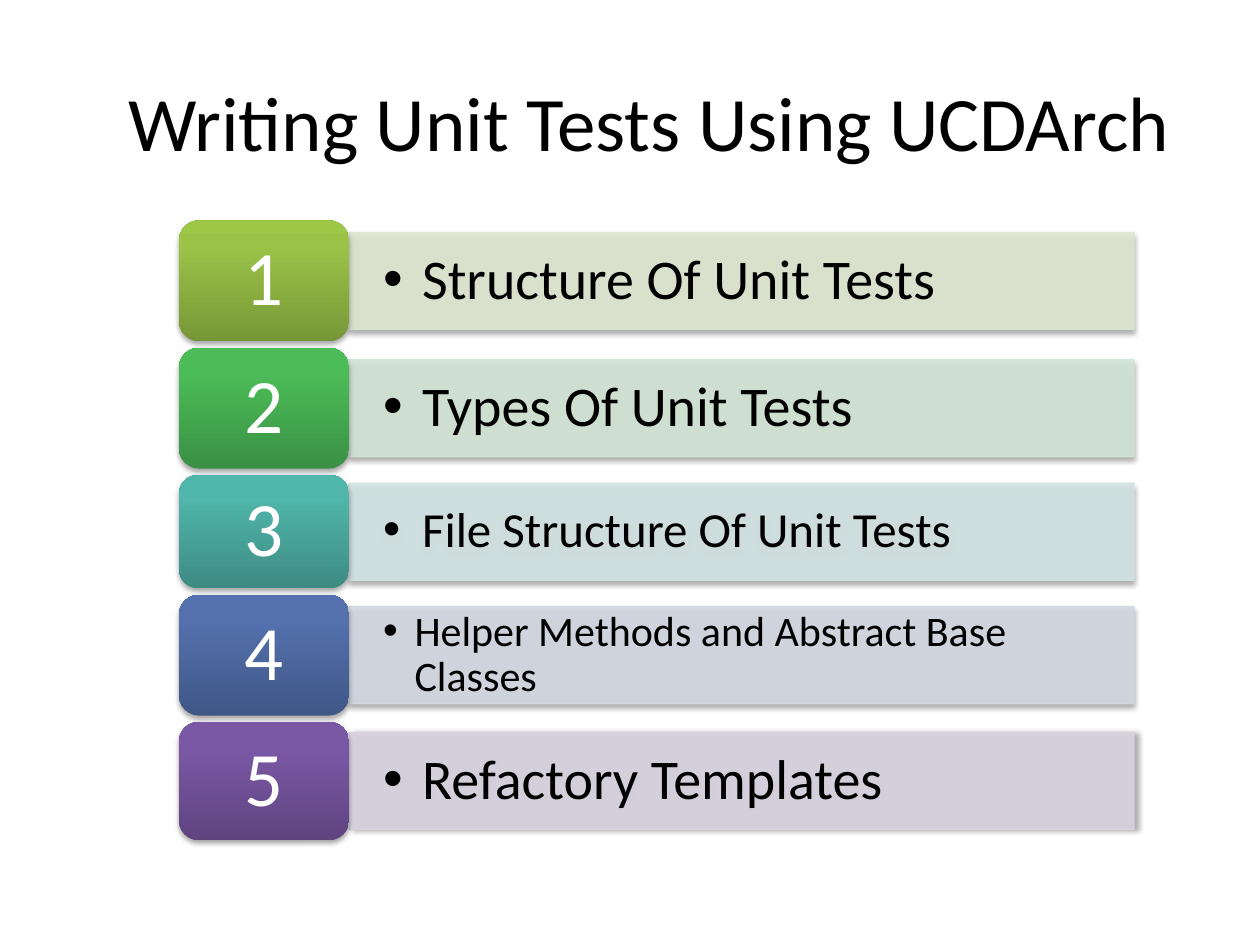
from copy import deepcopy

from lxml.etree import SubElement
from pptx import Presentation
from pptx.dml.color import RGBColor
from pptx.enum.shapes import MSO_SHAPE
from pptx.enum.text import MSO_ANCHOR, PP_ALIGN
from pptx.oxml.ns import qn
from pptx.util import Inches, Pt

COLORS = {
    "text": "000000",
    "number": "FFFFFF",
    "shadow": "000000",
    "bars": ["DEE7D1", "D2E5D5", "D2E3E2", "D3D8E2", "D8D3E0"],
    "tiles": [
        ("779737", "9BC348", "9DC746"),
        ("3A9144", "4CBC58", "4ABF57"),
        ("3D8B83", "50B5AA", "4EB8AC"),
        ("405786", "5471AE", "5271B0"),
        ("5F4480", "7B58A6", "7C57A8"),
    ],
}
TOPICS = [
    ("Structure Of Unit Tests", 32, 0.96, 90),
    ("Types Of Unit Tests", 32, 0.96, 90),
    ("File Structure Of Unit Tests", 28, 0.9, 90),
    ("Helper Methods and Abstract Base Classes", 24, 0.96, 90),
    ("Refactory Templates", 32, 0.94, 0),
]
GRADIENT_POSITIONS = (0, 0.8, 1)
TILE_LEFT, TILE_WIDTH, FIRST_TOP, TILE_GAP = 1.42, 1.35, 1.75, 0.05
BAR_LEFT, BAR_WIDTH, BAR_HEIGHT = TILE_LEFT + TILE_WIDTH, 6.23, 0.77


def apply_format(target, values):
    for name, value in values.items():
        setattr(target, name, value)


def write_text(shape, text, size, color, margins, align=PP_ALIGN.LEFT, spacing=0.9):
    horizontal, vertical = (Inches(margin) for margin in margins)
    apply_format(shape.text_frame, {
        "word_wrap": True,
        "vertical_anchor": MSO_ANCHOR.MIDDLE,
        "margin_left": horizontal,
        "margin_right": horizontal,
        "margin_top": vertical,
        "margin_bottom": vertical,
    })
    paragraph = shape.text_frame.paragraphs[0]
    apply_format(paragraph, {"text": text, "alignment": align, "line_spacing": spacing})
    apply_format(paragraph.font, {"name": "Calibri", "size": Pt(size)})
    paragraph.font.color.rgb = RGBColor.from_string(color)
    return paragraph


def add_bullet(paragraph, indent):
    properties = paragraph._p.get_or_add_pPr()
    properties.set("marL", str(Inches(indent)))
    properties.set("indent", str(Inches(-indent)))
    SubElement(properties, qn("a:buFont"), typeface="Arial")
    SubElement(properties, qn("a:buChar"), char="•")


def add_alpha(color_element, percent):
    SubElement(color_element, qn("a:alpha"), val=str(percent * 1000))


def add_shadow(shape, direction):
    shape.shadow.inherit = False
    effects = shape._element.spPr.find(qn("a:effectLst"))
    shadow = SubElement(
        effects, qn("a:outerShdw"), blurRad=str(Pt(3.1)), dist=str(Pt(1.8)),
        dir=str(direction * 60000), rotWithShape="0")
    add_alpha(SubElement(shadow, qn("a:srgbClr"), val=COLORS["shadow"]), 35)


def add_bar(slide, top, color, text, size, shadow_direction):
    bar = slide.shapes.add_shape(
        MSO_SHAPE.RECTANGLE, Inches(BAR_LEFT), Inches(top),
        Inches(BAR_WIDTH), Inches(BAR_HEIGHT))
    bar.line.width = Pt(0.75)
    for fill in (bar.fill, bar.line.fill):
        fill.solid()
        fill.fore_color.rgb = RGBColor.from_string(color)
    for color_element in bar._element.spPr.findall(".//" + qn("a:srgbClr")):
        add_alpha(color_element, 90)
    add_shadow(bar, shadow_direction)
    paragraph = write_text(bar, text, size, COLORS["text"], (0.27, 0.14))
    add_bullet(paragraph, 0.25 if size < 28 else 0.31)


def add_tile(slide, top, height, colors, number):
    tile = slide.shapes.add_shape(
        MSO_SHAPE.ROUNDED_RECTANGLE, Inches(TILE_LEFT), Inches(top),
        Inches(TILE_WIDTH), Inches(height))
    tile.line.fill.background()
    tile.fill.gradient()
    tile.fill.gradient_angle = 90
    stops = tile._element.spPr.find(".//" + qn("a:gsLst"))
    stops.append(deepcopy(stops[-1]))
    for stop, position, color in zip(tile.fill.gradient_stops, GRADIENT_POSITIONS, colors):
        stop.position = position
        stop.color.rgb = RGBColor.from_string(color)
    add_shadow(tile, 90)
    write_text(tile, str(number), 44, COLORS["number"], (0.18, 0.09), PP_ALIGN.CENTER)


def add_title(slide, text):
    title = slide.shapes.add_textbox(Inches(0.92), Inches(0.33), Inches(8.83), Inches(1.25))
    write_text(title, text, 44, COLORS["text"], (0.1, 0.05), spacing=1.0)


def main():
    presentation = Presentation()
    apply_format(presentation, {"slide_width": Inches(10), "slide_height": Inches(7.5)})
    slide = presentation.slides.add_slide(presentation.slide_layouts[6])
    add_title(slide, "Writing Unit Tests Using UCDArch")
    top = FIRST_TOP
    rows = zip(TOPICS, COLORS["bars"], COLORS["tiles"])
    for number, (topic, bar_color, tile_colors) in enumerate(rows, start=1):
        text, size, height, shadow_direction = topic
        bar_top = top + (height - BAR_HEIGHT) / 2
        add_bar(slide, bar_top, bar_color, text, size, shadow_direction)
        add_tile(slide, top, height, tile_colors, number)
        top += height + TILE_GAP
    presentation.save("out.pptx")


if __name__ == "__main__":
    main()
